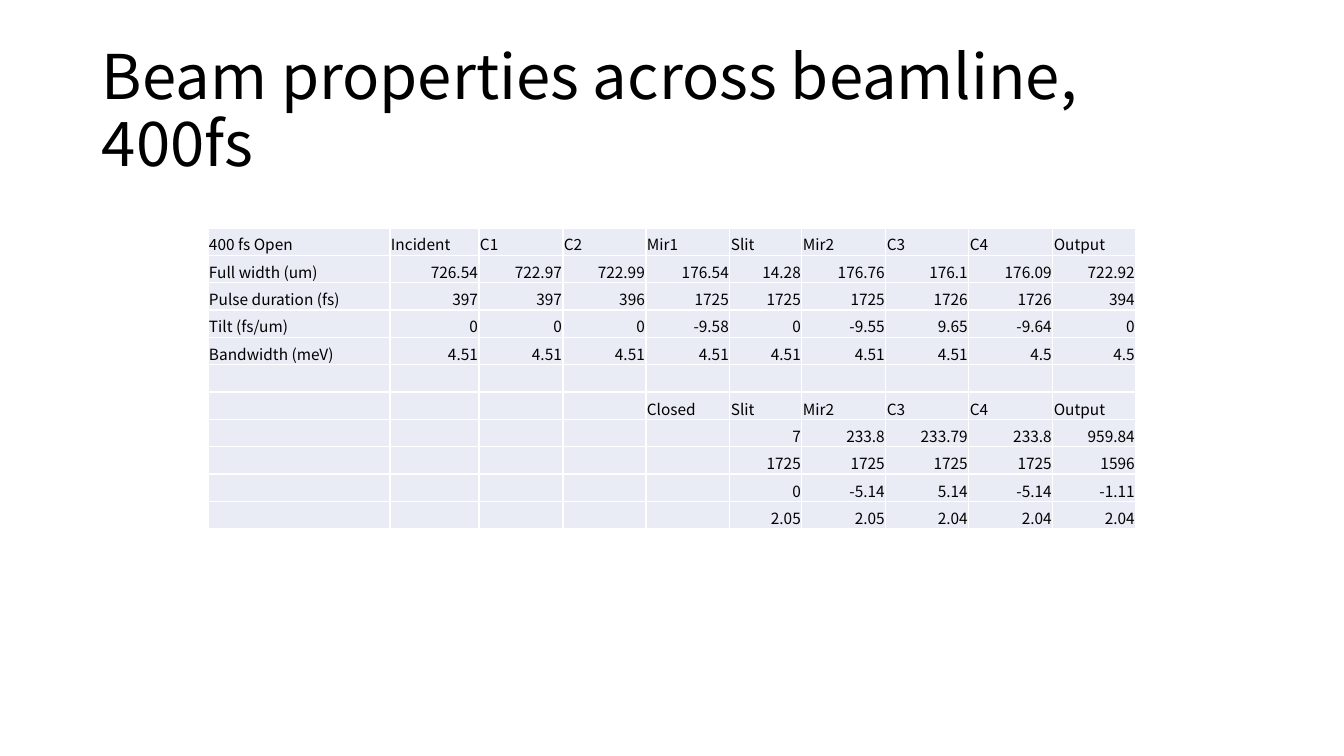
from itertools import pairwise

from lxml import etree
from pptx import Presentation
from pptx.dml.color import RGBColor
from pptx.enum.text import MSO_ANCHOR, PP_ALIGN
from pptx.oxml.ns import qn
from pptx.util import Pt

BOTTOM, MIDDLE = MSO_ANCHOR.BOTTOM, MSO_ANCHOR.MIDDLE
LEFT, RIGHT = PP_ALIGN.LEFT, PP_ALIGN.RIGHT

EMU_PER_PX = 914400 / 100.8
SLIDE_SIZE = (1344, 756)
TITLE_BOX = (92, 40, 1159, 146)
TABLE_BOX = (208, 228, 928, 301)
COLUMN_EDGES = (0, 182, 271, 355, 438, 522, 594, 678, 761, 845, 928)

FONT = "Noto Sans CJK SC"
BLACK, WHITE, PALE_BLUE = "000000", "FFFFFF", "E9EBF5"
TITLE_SIZE, TABLE_SIZE = 44, 11
CELL_FORMAT = {"vertical_anchor": BOTTOM, "margin_bottom": 0}
CELL_MARGINS = ("margin_left", "margin_right", "margin_top")

OPEN_ROWS = [
    ["400 fs Open", "Incident", "C1", "C2", "Mir1", "Slit", "Mir2", "C3", "C4", "Output"],
    ["Full width (um)", "726.54", "722.97", "722.99", "176.54", "14.28", "176.76", "176.1", "176.09", "722.92"],
    ["Pulse duration (fs)", "397", "397", "396", "1725", "1725", "1725", "1726", "1726", "394"],
    ["Tilt (fs/um)", "0", "0", "0", "-9.58", "0", "-9.55", "9.65", "-9.64", "0"],
    ["Bandwidth (meV)", "4.51", "4.51", "4.51", "4.51", "4.51", "4.51", "4.51", "4.5", "4.5"],
]
CLOSED_ROWS = [
    ["Closed", "Slit", "Mir2", "C3", "C4", "Output"],
    ["7", "233.8", "233.79", "233.8", "959.84"],
    ["1725", "1725", "1725", "1725", "1596"],
    ["0", "-5.14", "5.14", "-5.14", "-1.11"],
    ["2.05", "2.05", "2.04", "2.04", "2.04"],
]


def px(length):
    return round(length * EMU_PER_PX)


def color(hex_string):
    return RGBColor.from_string(hex_string)


def apply_format(target, values):
    for name, value in values.items():
        setattr(target, name, value)


def write_text(paragraph, text, size, alignment=LEFT):
    paragraph.alignment = alignment
    run = paragraph.add_run()
    run.text = text
    apply_format(run.font, {"name": FONT, "size": Pt(size), "bold": False})
    run.font.color.rgb = color(BLACK)


def add_title(slide, box, text):
    frame = slide.shapes.add_textbox(*map(px, box)).text_frame
    apply_format(frame, {"word_wrap": True, "vertical_anchor": MIDDLE})
    paragraph = frame.paragraphs[0]
    paragraph.line_spacing = 0.9
    write_text(paragraph, text, TITLE_SIZE)


def add_cell_borders(cell, hex_string):
    properties = cell._tc.get_or_add_tcPr()
    for side in ("lnL", "lnR", "lnT", "lnB"):
        line = etree.SubElement(properties, qn(f"a:{side}"), w=str(Pt(1)))
        fill = etree.SubElement(line, qn("a:solidFill"))
        etree.SubElement(fill, qn("a:srgbClr"), val=hex_string)


def fill_cell(cell, text, alignment):
    apply_format(cell, CELL_FORMAT | dict.fromkeys(CELL_MARGINS, px(1)))
    add_cell_borders(cell, WHITE)
    cell.fill.solid()
    cell.fill.fore_color.rgb = color(PALE_BLUE)
    paragraph = cell.text_frame.paragraphs[0]
    if text:
        write_text(paragraph, text, TABLE_SIZE, alignment)
    else:
        # An empty cell would otherwise take 18 pt and stretch its row.
        etree.SubElement(paragraph._p, qn("a:endParaRPr"), sz=str(TABLE_SIZE * 100))


def add_beam_table(slide, box, open_rows, closed_rows):
    """Stack both blocks, the closed one right-aligned below an empty row."""
    column_count = len(COLUMN_EDGES) - 1
    rows = [
        [""] * (column_count - len(row)) + row
        for row in [*open_rows, [], *closed_rows]
    ]
    header_rows = (0, len(open_rows) + 1)
    table = slide.shapes.add_table(len(rows), column_count, *map(px, box)).table
    apply_format(table, {"first_row": False, "horz_banding": False})
    for column, (start, end) in zip(table.columns, pairwise(COLUMN_EDGES)):
        column.width = px(end - start)
    for row_index, row in enumerate(rows):
        table.rows[row_index].height = px(box[3]) // len(rows)
        for column_index, text in enumerate(row):
            is_label = column_index == 0 or row_index in header_rows
            fill_cell(table.cell(row_index, column_index), text, LEFT if is_label else RIGHT)


def main():
    presentation = Presentation()
    presentation.slide_width, presentation.slide_height = map(px, SLIDE_SIZE)
    slide = presentation.slides.add_slide(presentation.slide_layouts[6])
    add_title(slide, TITLE_BOX, "Beam properties across beamline, 400fs")
    add_beam_table(slide, TABLE_BOX, OPEN_ROWS, CLOSED_ROWS)
    presentation.save("out.pptx")


if __name__ == "__main__":
    main()
